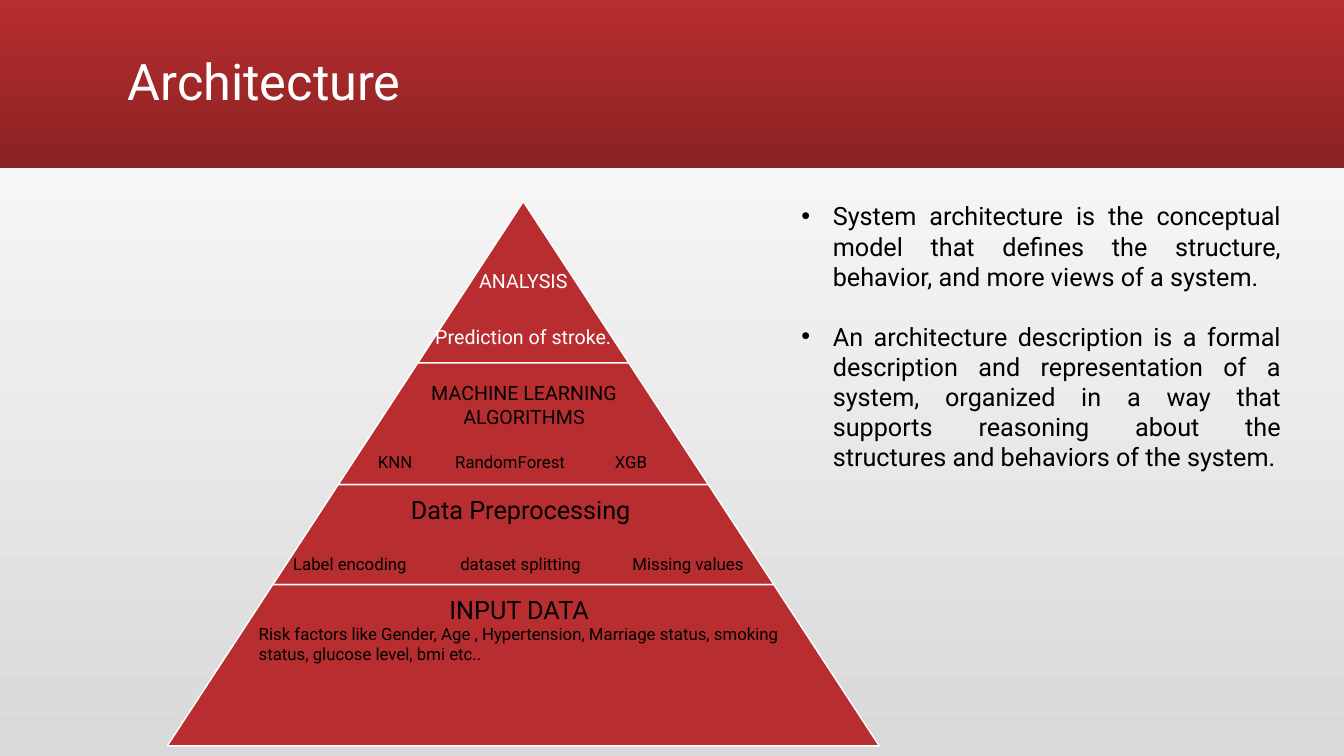
"""Build the Architecture slide: a four-tier pyramid beside two notes."""
from dataclasses import dataclass

from lxml.etree import SubElement
from pptx import Presentation
from pptx.dml.color import RGBColor
from pptx.dml.fill import FillFormat
from pptx.enum.shapes import MSO_SHAPE as Shape
from pptx.enum.text import MSO_ANCHOR as Anchor, MSO_AUTO_SIZE as Fit, PP_ALIGN as Align
from pptx.oxml.ns import qn
from pptx.slide import Slide
from pptx.text.text import TextFrame
from pptx.util import Inches, Pt

COLS, ROWS = 160, 90
WIDTH, HEIGHT = Inches(13.333), Inches(7.5)
FONT = "Roboto"
RED, DARK_RED, WHITE, GREY, BLACK = "B82D2F", "8A2223", "FFFFFF", "D9D9D9", "000000"
APEX_COL, SLOPE = 62.3, 0.654
TIER_ROWS = (24, 43.2, 57.7, 69.6, 88.8)


@dataclass(frozen=True)
class Line:
    """One paragraph and its format, with tab stops in grid columns."""
    text: str
    size: float
    color: str = BLACK
    align: Align = Align.LEFT
    before: float = 0
    spacing: float = 1.0
    bullet: bool = False
    tabs: tuple[float, ...] = ()


@dataclass(frozen=True)
class Box:
    """A text box placed in grid columns and rows."""
    left: float
    top: float
    width: float
    height: float
    lines: tuple[Line, ...]
    anchor: Anchor = Anchor.TOP
    side: float = 1.2
    bottom: float = 0.6


BOXES = (
    Box(49.8, 24, 25, 19.2, (
        Line("ANALYSIS", 14, WHITE, Align.CENTER, spacing=0.9),
        Line("Prediction of stroke.", 14, WHITE, Align.CENTER, before=25, spacing=0.9),
    ), Anchor.BOTTOM, side=0.2, bottom=1.7),
    Box(43, 44.8, 38.8, 14.5, (
        Line("MACHINE LEARNING", 14, align=Align.CENTER),
        Line("ALGORITHMS", 14, align=Align.CENTER),
        Line("\tKNN\tRandomForest\tXGB", 12, before=16.4, tabs=(0.8, 10, 29)),
    )),
    Box(33.7, 58.2, 56.6, 10.9, (
        Line("Data Preprocessing", 18, align=Align.CENTER),
        Line("Label encoding\tdataset splitting\tMissing values", 12, before=21,
             tabs=(19.9, 40.4)),
    )),
    Box(29.6, 70.1, 64.4, 9.7, (
        Line("INPUT DATA", 18, align=Align.CENTER),
        Line("Risk factors like Gender, Age , Hypertension, Marriage status, smoking "
             "status, glucose level, bmi etc..", 12),
    )),
    Box(94.2, 23.3, 59.5, 41.2, (
        Line("System architecture is the conceptual model that defines the structure, "
             "behavior, and more views of a system.", 18, align=Align.JUSTIFY, bullet=True),
        Line("An architecture description is a formal description and representation of a "
             "system, organized in a way that supports reasoning about the structures and "
             "behaviors of the system.", 18, align=Align.JUSTIFY, before=21, bullet=True),
    )),
)


def x(cols: float) -> int:
    """Convert grid columns to a length."""
    return round(WIDTH * cols / COLS)


def y(rows: float) -> int:
    """Convert grid rows to a length."""
    return round(HEIGHT * rows / ROWS)


def rgb(color: str) -> RGBColor:
    """Convert a hex string to a colour."""
    return RGBColor.from_string(color)


def shade(fill: FillFormat, start: str, end: str, angle: float) -> None:
    """Give a fill a two-stop linear gradient."""
    fill.gradient()
    fill.gradient_angle = angle
    for stop, color in zip(fill.gradient_stops, (start, end)):
        stop.color.rgb = rgb(color)


def write(tf: TextFrame, text: str, *, size: float, first: bool = True, color: str = BLACK,
          align: Align = Align.LEFT, before: float = 0, spacing: float = 1.0,
          bullet: bool = False, tabs: tuple[float, ...] = ()) -> None:
    """Write one formatted paragraph into a text frame."""
    p = tf.paragraphs[0] if first else tf.add_paragraph()
    props = p._p.get_or_add_pPr()
    if bullet:
        props.set("marL", str(x(3.75)))
        props.set("indent", str(-x(3.75)))
        SubElement(props, qn("a:buFont"), typeface="Arial")
        SubElement(props, qn("a:buChar"), char="•")
    if tabs:
        stops = SubElement(props, qn("a:tabLst"))
        for tab in tabs:
            SubElement(stops, qn("a:tab"), pos=str(x(tab)), algn="l")
    p.alignment, p.line_spacing, p.space_before = align, spacing, Pt(before)
    r = p.add_run()
    r.text = text
    r.font.name, r.font.size = FONT, Pt(size)
    r.font.color.rgb = rgb(color)


def draw_header(s: Slide) -> None:
    """Draw the red band and set the title over it."""
    title = s.shapes.title
    band = s.shapes.add_shape(Shape.RECTANGLE, 0, 0, x(COLS), y(20))
    band.shadow.inherit = False
    band.line.fill.background()
    shade(band.fill, RED, DARK_RED, 270)
    title.element.addprevious(band.element)
    title.left, title.top, title.width, title.height = x(14), y(1.3), x(132), y(17.4)
    tf = title.text_frame
    tf.auto_size, tf.vertical_anchor = Fit.NONE, Anchor.MIDDLE
    write(tf, "Architecture", size=36, color=WHITE, spacing=0.9)


def draw_tier(s: Slide, top: float, bottom: float) -> None:
    """Draw the slice of the pyramid between two rows."""
    half = SLOPE * (bottom - TIER_ROWS[0])
    sp = s.shapes.add_shape(Shape.TRAPEZOID, x(APEX_COL - half), y(top),
                            x(2 * half), y(bottom - top))
    sp.adjustments[0] = SLOPE
    sp.shadow.inherit = False
    sp.fill.solid()
    sp.fill.fore_color.rgb = rgb(RED)
    sp.line.color.rgb = rgb(WHITE)
    sp.line.width = Pt(1)


def draw_box(s: Slide, box: Box) -> None:
    """Draw a text box with its lines."""
    sp = s.shapes.add_textbox(x(box.left), y(box.top), x(box.width), y(box.height))
    tf = sp.text_frame
    tf.word_wrap, tf.vertical_anchor = True, box.anchor
    tf.margin_left = tf.margin_right = x(box.side)
    tf.margin_bottom = y(box.bottom)
    for i, line in enumerate(box.lines):
        write(tf, line.text, size=line.size, first=i == 0, color=line.color,
              align=line.align, before=line.before, spacing=line.spacing,
              bullet=line.bullet, tabs=line.tabs)


def main() -> None:
    """Build and save the slide."""
    prs = Presentation()
    prs.slide_width, prs.slide_height = WIDTH, HEIGHT
    s = prs.slides.add_slide(prs.slide_layouts.get_by_name("Title Only"))
    shade(s.background.fill, GREY, WHITE, 90)
    draw_header(s)
    for top, bottom in zip(TIER_ROWS, TIER_ROWS[1:]):
        draw_tier(s, top, bottom)
    for box in BOXES:
        draw_box(s, box)
    prs.save("out.pptx")


if __name__ == "__main__":
    main()
